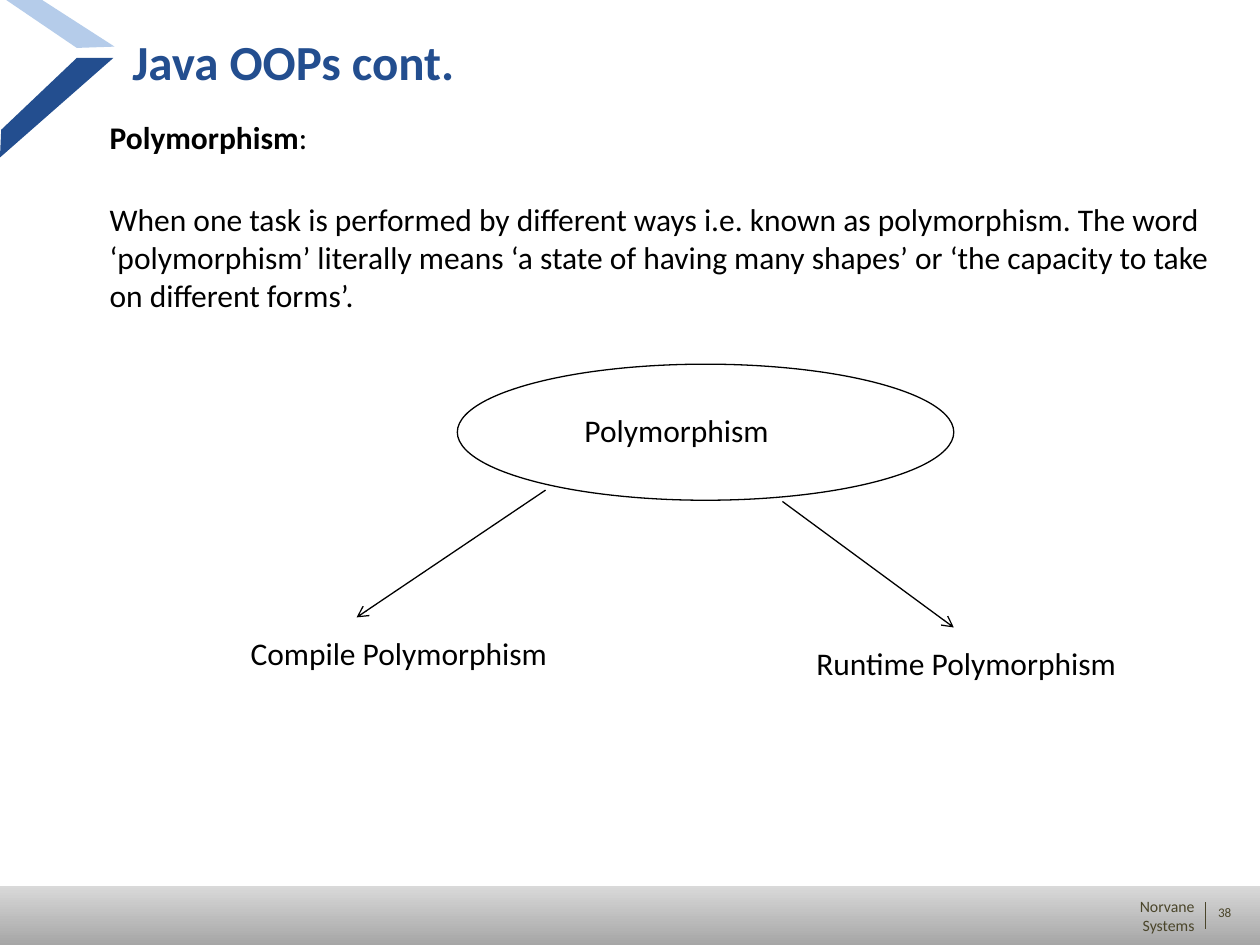
from lxml import etree
from pptx import Presentation
from pptx.dml.color import RGBColor
from pptx.enum import shapes, text
from pptx.oxml import ns
from pptx.util import Inches, Pt

FONT = "Calibri"
BLACK, BLUE, PALE_BLUE, BROWN = "000000", "234E8F", "B5CCEA", "4A452A"
LEFT, CENTER, RIGHT = text.PP_ALIGN.LEFT, text.PP_ALIGN.CENTER, text.PP_ALIGN.RIGHT
TOP, MIDDLE = text.MSO_ANCHOR.TOP, text.MSO_ANCHOR.MIDDLE

FOOTER_BAND = (0, 7.03, 10, 0.47)
FOOTER_GRADIENT = ["D9D9D9", "A6A6A6"]
FOOTER_RULE = ((9.57, 7.16), (9.57, 7.37))
FOOTER_TEXTS = [
    ("38", (9.66, 7.18, 0.12, 0.13), 7.5, CENTER, TOP),
    ("Norvane Systems", (8.62, 7.19, 0.86, 0.15), 9, RIGHT, MIDDLE),
]
CHEVRON = [
    (PALE_BLUE, [(0.32, -0.01), (0.91, 0.37), (0.61, 0.38), (0.05, 0)]),
    (BLUE, [(0.61, 0.46), (0.9, 0.46), (0, 1.25), (0.01, 1.03)]),
]
TITLE = ("Java OOPs cont.", (1.05, 0.25, 8.74, 0.47))
BODY_BOX = (0.87, 0.94, 8.91, 4.53)
BODY = [
    (1.5, [("Polymorphism", True), (":", False)]),
    (25, [("When one task is performed by different ways i.e. known as polymorphism. "
           "The word ‘polymorphism’ literally means ‘a state of having many shapes’ "
           "or ‘the capacity to take on different forms’.", False)]),
]
ELLIPSE = (3.63, 2.89, 3.94, 1.08)
LABELS = [
    ("Polymorphism", (4.54, 3.21, 2.51, 0.4)),
    ("Compile Polymorphism", (1.89, 4.98, 3.16, 0.4)),
    ("Runtime Polymorphism", (6.38, 5.06, 3.62, 0.4)),
]
ARROWS = [((4.33, 3.89), (2.83, 4.9)), ((6.21, 3.98), (7.57, 4.98))]


def color(value):
    return RGBColor.from_string(value)


def inches(values):
    return [Inches(value) for value in values]


def add_text(slide, box, paragraphs, size, fill=BLACK, align=LEFT, anchor=TOP,
             inset=True, wrap=True):
    frame = slide.shapes.add_textbox(*inches(box)).text_frame
    frame.word_wrap = wrap
    frame.vertical_anchor = anchor
    if not inset:
        frame.margin_left = frame.margin_right = 0
        frame.margin_top = frame.margin_bottom = 0
    for index, (space, runs) in enumerate(paragraphs):
        paragraph = frame.add_paragraph() if index else frame.paragraphs[0]
        paragraph.alignment = align
        paragraph.space_before = Pt(space)
        for words, bold in runs:
            run = paragraph.add_run()
            run.text = words
            run.font.name = FONT
            run.font.size = Pt(size)
            run.font.bold = bold
            run.font.color.rgb = color(fill)


def add_line(slide, start, end, stroke, arrow=False):
    line = slide.shapes.add_connector(
        shapes.MSO_CONNECTOR.STRAIGHT, *inches(start + end))
    line.line.color.rgb = color(stroke)
    line.line.width = Pt(0.75)
    if arrow:
        etree.SubElement(line.line._get_or_add_ln(), ns.qn("a:tailEnd"), type="arrow")
    etree.SubElement(line._element.spPr, ns.qn("a:effectLst"))


def add_footer(slide):
    band = slide.shapes.add_shape(shapes.MSO_SHAPE.RECTANGLE, *inches(FOOTER_BAND))
    band.shadow.inherit = False
    band.line.fill.background()
    band.fill.gradient()
    band.fill.gradient_angle = 270
    for stop, shade in zip(band.fill.gradient_stops, FOOTER_GRADIENT):
        stop.color.rgb = color(shade)
    for words, box, size, align, anchor in FOOTER_TEXTS:
        add_text(slide, box, [(0, [(words, False)])], size, BROWN, align, anchor,
                 inset=False, wrap=False)
    add_line(slide, *FOOTER_RULE, BROWN)


def add_chevron(slide):
    group = slide.shapes.add_group_shape()
    for fill, points in CHEVRON:
        first, *others = [inches(point) for point in points]
        builder = group.shapes.build_freeform(*first)
        builder.add_line_segments(others, close=True)
        shape = builder.convert_to_shape()
        shape.shadow.inherit = False
        shape.fill.solid()
        shape.fill.fore_color.rgb = color(fill)
        shape.line.fill.background()


def add_diagram(slide):
    ellipse = slide.shapes.add_shape(shapes.MSO_SHAPE.OVAL, *inches(ELLIPSE))
    ellipse.shadow.inherit = False
    ellipse.fill.background()
    ellipse.line.color.rgb = color(BLACK)
    ellipse.line.width = Pt(0.75)
    for start, end in ARROWS:
        add_line(slide, start, end, BLACK, arrow=True)
    for words, box in LABELS:
        add_text(slide, box, [(0, [(words, False)])], 18)


def main():
    presentation = Presentation()
    presentation.slide_width, presentation.slide_height = Inches(10), Inches(7.5)
    slide = presentation.slides.add_slide(presentation.slide_layouts[6])
    add_footer(slide)
    add_chevron(slide)
    title, title_box = TITLE
    add_text(slide, title_box, [(0, [(title, True)])], 28, BLUE, inset=False)
    add_text(slide, BODY_BOX, BODY, 18, inset=False)
    add_diagram(slide)
    presentation.save("out.pptx")


if __name__ == "__main__":
    main()
